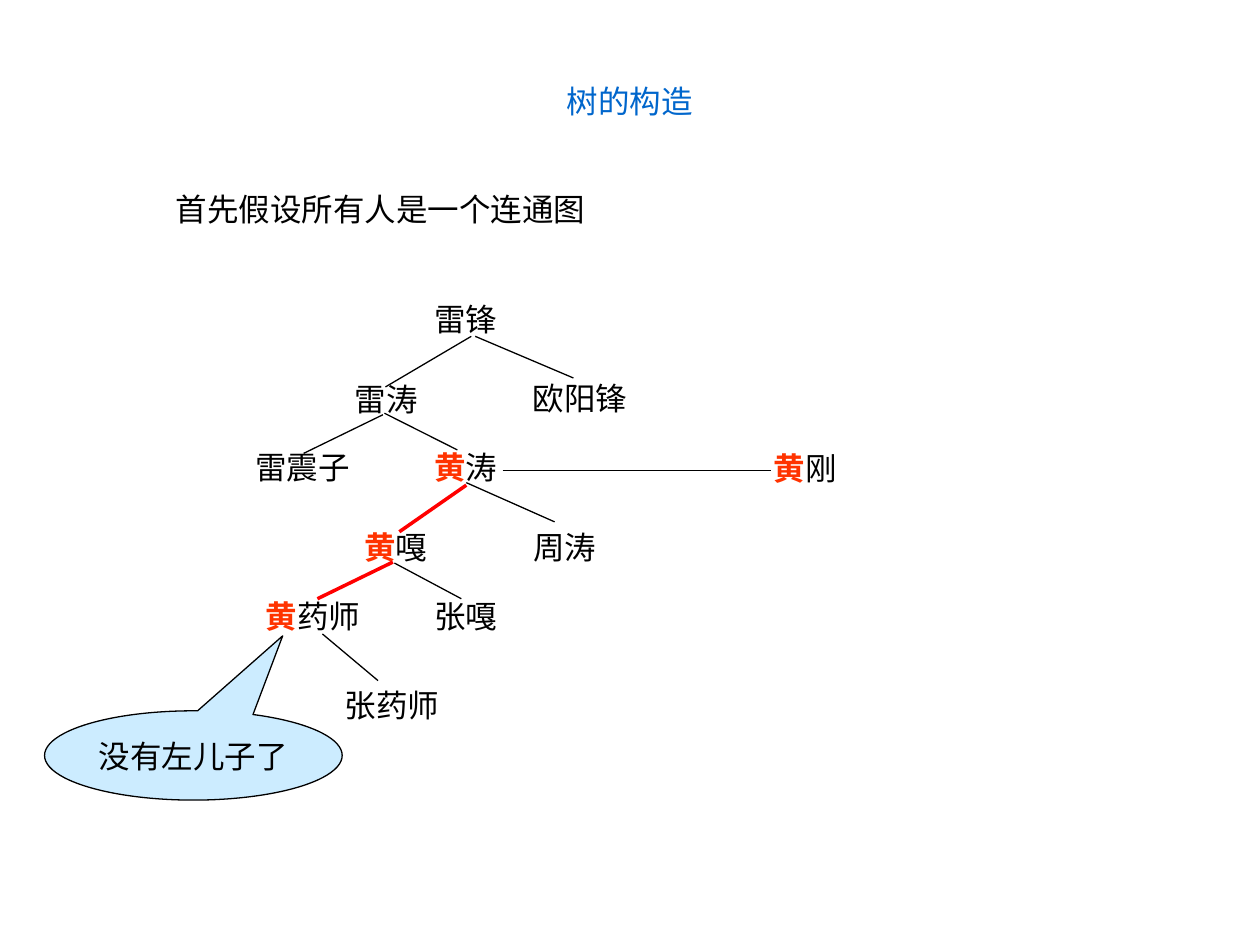
from lxml import etree
from pptx import Presentation
from pptx.dml.color import RGBColor
from pptx.enum.shapes import MSO_CONNECTOR, MSO_SHAPE
from pptx.enum.text import MSO_ANCHOR, MSO_AUTO_SIZE, PP_ALIGN
from pptx.oxml.ns import qn
from pptx.util import Cm, Pt

STRAIGHT = MSO_CONNECTOR.STRAIGHT
ELLIPSE_CALLOUT = MSO_SHAPE.OVAL_CALLOUT
MIDDLE = MSO_ANCHOR.MIDDLE
GROW = MSO_AUTO_SIZE.SHAPE_TO_FIT_TEXT
CENTER = PP_ALIGN.CENTER

BLACK = RGBColor(0x00, 0x00, 0x00)
TITLE_BLUE = RGBColor(0x00, 0x66, 0xCC)
SURNAME_RED = RGBColor(0xFF, 0x33, 0x00)
PATH_RED = RGBColor(0xFF, 0x00, 0x00)
CALLOUT_BLUE = RGBColor(0xCC, 0xEC, 0xFF)

BODY_FONT = "Arial"
TITLE_FONT = "Noto Sans CJK SC"
SURNAME = "黄"
LABEL_HEIGHT = 1.02
THIN, THICK = 0.75, 2

PEOPLE = [
    ("雷锋", 8.5, 5.92, 2.59),
    ("雷涛", 6.9, 7.53, 2.21),
    ("黄涛", 8.5, 8.91, 2.59),
    ("欧阳锋", 10.49, 7.51, 3.4),
    ("黄嘎", 7.09, 10.52, 2.59),
    ("张嘎", 8.5, 11.91, 2.59),
    ("雷震子", 4.9, 8.91, 2.59),
    ("黄药师", 5.11, 11.91, 2.59),
    ("周涛", 10.5, 10.52, 2.59),
    ("黄刚", 15.35, 8.92, 2.01),
    ("张药师", 6.7, 13.71, 2.79),
]

BRANCHES = [
    (9.5, 6.78, 7.77, 7.8),
    (9.58, 6.78, 11.56, 7.62),
    (7.72, 8.36, 6.12, 9.14),
    (7.75, 8.33, 9.22, 9.07),
    (7.95, 11.35, 9.3, 12.07),
    (9.4, 9.73, 11.18, 10.52),
    (10.13, 9.49, 15.54, 9.49),
    (6.5, 12.78, 7.62, 13.72),
]

SURNAME_PATH = [
    (9.4, 9.78, 8.05, 10.72),
    (7.92, 11.33, 6.4, 12.07),
]


def add_span(para, text, color=BLACK, bold=False, font=BODY_FONT):
    span = para.add_run()
    span.text = text
    span.font.name = font
    span.font.size = Pt(18)
    span.font.bold = bold
    span.font.color.rgb = color


def add_title(page, text):
    box = page.shapes.add_textbox(Cm(9.5), Cm(1.52), Cm(6.4), Cm(1.47))
    box.text_frame.word_wrap = True
    para = box.text_frame.paragraphs[0]
    para.alignment = CENTER
    add_span(para, text, TITLE_BLUE, font=TITLE_FONT)


def add_label(page, text, left, top, width):
    box = page.shapes.add_textbox(Cm(left), Cm(top), Cm(width), Cm(LABEL_HEIGHT))
    frame = box.text_frame
    frame.word_wrap = True
    frame.auto_size = GROW
    para = frame.paragraphs[0]
    para.space_before = Pt(11.2)
    if text.startswith(SURNAME):
        add_span(para, SURNAME, SURNAME_RED, bold=True)
        text = text[len(SURNAME):]
    add_span(para, text)


def add_branch(page, ends, color=BLACK, weight=THIN):
    branch = page.shapes.add_connector(STRAIGHT, *(Cm(value) for value in ends))
    branch.line.color.rgb = color
    branch.line.width = Pt(weight)
    etree.SubElement(branch._element.spPr, qn("a:effectLst"))


def add_callout(page, text):
    callout = page.shapes.add_shape(
        ELLIPSE_CALLOUT, Cm(0.9), Cm(14.33), Cm(6), Cm(1.8)
    )
    callout.shadow.inherit = False
    callout.adjustments[0] = 0.3
    callout.adjustments[1] = -1.34
    callout.fill.solid()
    callout.fill.fore_color.rgb = CALLOUT_BLUE
    callout.line.color.rgb = BLACK
    callout.line.width = Pt(THIN)
    frame = callout.text_frame
    frame.word_wrap = True
    frame.margin_left = frame.margin_right = Cm(0)
    frame.vertical_anchor = MIDDLE
    para = frame.paragraphs[0]
    para.alignment = CENTER
    add_span(para, text)


def main():
    deck = Presentation()
    deck.slide_width, deck.slide_height = Cm(25.4), Cm(19.05)
    page = deck.slides.add_slide(deck.slide_layouts[6])
    add_title(page, "树的构造")
    add_label(page, "首先假设所有人是一个连通图", 3.29, 3.71, 10.21)
    for person in PEOPLE:
        add_label(page, *person)
    for ends in BRANCHES:
        add_branch(page, ends)
    for ends in SURNAME_PATH:
        add_branch(page, ends, PATH_RED, THICK)
    add_callout(page, "没有左儿子了")
    deck.save("out.pptx")


if __name__ == "__main__":
    main()
